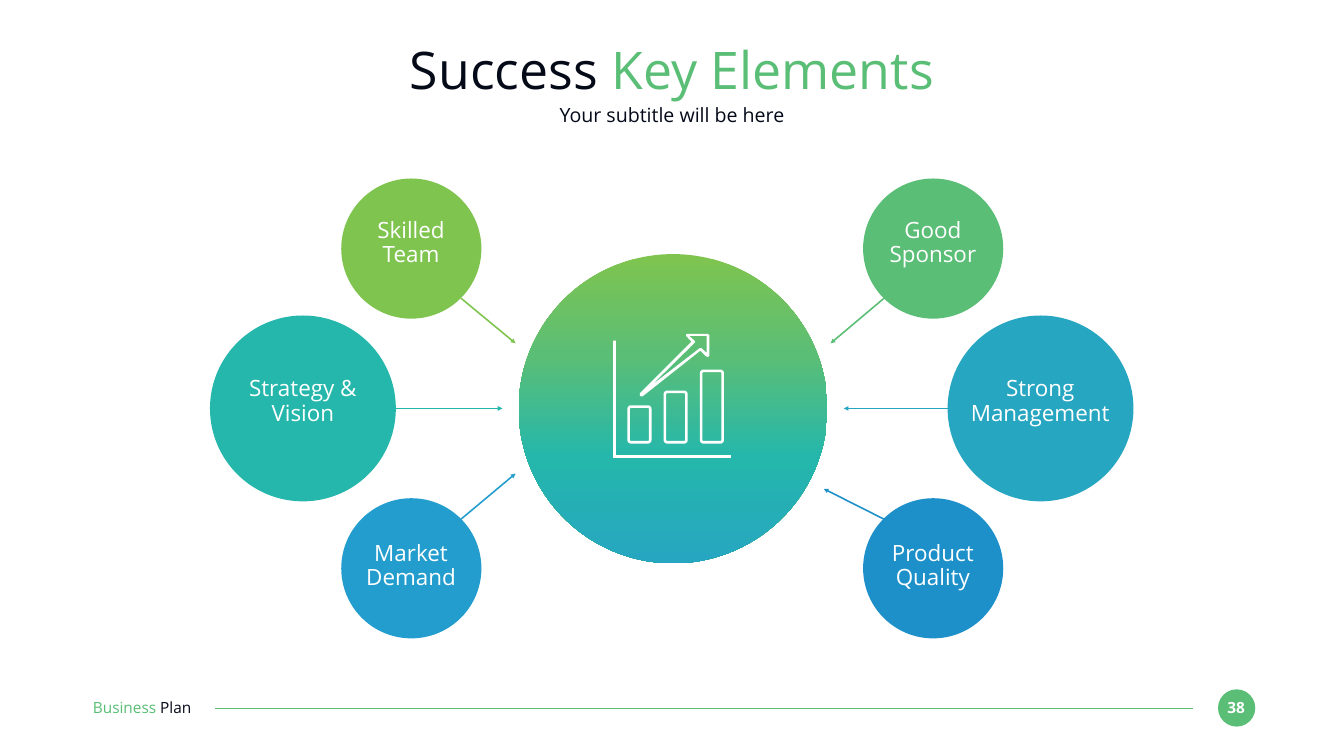
"""Builds the Success Key Elements slide: six factors pointing at a central growth chart."""
import copy
import math

import lxml.etree
import pptx
import pptx.dml.color
import pptx.enum.shapes
import pptx.enum.text
import pptx.oxml
import pptx.oxml.ns
import pptx.util

RGB = pptx.dml.color.RGBColor
SHAPE = pptx.enum.shapes.MSO_SHAPE
ALIGN = pptx.enum.text.PP_ALIGN
ANCHOR = pptx.enum.text.MSO_ANCHOR

PX = 9525
FONT = "Open Sans"
INK = RGB(0x05, 0x0A, 0x19)
WHITE = RGB(0xFF, 0xFF, 0xFF)
LIME = RGB(0x7F, 0xC4, 0x4F)
GREEN = RGB(0x5A, 0xBE, 0x76)
TEAL = RGB(0x25, 0xB7, 0xAC)
CYAN = RGB(0x26, 0xA6, 0xC1)
SKY = RGB(0x23, 0x9D, 0xCE)
BLUE = RGB(0x1D, 0x90, 0xC9)

TITLE = [("Success ", INK), ("Key Elements", GREEN)]
SUBTITLE = [("Your subtitle will be here", INK)]
FOOTER = [("Business ", GREEN), ("Plan", INK)]
PAGE_NUMBER = [("38", WHITE)]

SMALL, LARGE = 267, 354
LABEL_HEIGHT = 104
# Each factor: lines, colour, circle left, top, size, label width, label top, arrow
FACTORS = [
    (["Skilled Team"], LIME, (650, 340, SMALL), (214, 417), (878, 568, 982, 654)),
    (["Strategy & Vision"], TEAL, (400, 601, LARGE), (214, 719), (755, 778, 957, 778)),
    (["Market Demand"], SKY, (650, 949, SMALL), (214, 1032), (878, 989, 982, 902)),
    (["Good Sponsor"], GREEN, (1644, 340, SMALL), (214, 417), (1684, 568, 1582, 654)),
    (["Strong", "Management"], CYAN, (1805, 601, LARGE), (279, 719), (1805, 778, 1607, 778)),
    (["Product Quality"], BLUE, (1644, 949, SMALL), (214, 1032), (1684, 989, 1569, 931)),
]
HUB = (988, 484, 588, 589)
HUB_STOPS = [(0, LIME), (33, GREEN), (66, TEAL), (100, CYAN)]

STROKE = 5
BAR_LEFT, BAR_STEP, BAR_WIDTH, BAR_BOTTOM = 1195, 69, 46, 845
BAR_TOPS = [772, 744, 704]
AXES = [(1168, 649), (1173, 649), (1173, 867), (1392, 867), (1392, 872), (1168, 872)]
ARROW_OUTSIDE = [(1219, 754), (1219, 749), (1317, 651), (1307, 640), (1307, 637),
                 (1309, 636), (1348, 636), (1351, 638), (1351, 677), (1349, 680),
                 (1345, 679), (1334, 668), (1224, 755), (1221, 755)]
ARROW_INSIDE = [(1242, 733), (1333, 663), (1336, 663), (1346, 672), (1346, 640),
                (1313, 640), (1323, 649), (1324, 651), (1323, 653)]


def emu(*lengths):
    return [pptx.util.Emu(length * PX) for length in lengths]


def write(box, paragraphs, size, align=ALIGN.CENTER, anchor=ANCHOR.TOP, bold=False, spacing=1.0):
    frame = box.text_frame
    settings = {"word_wrap": True, "vertical_anchor": anchor,
                "auto_size": pptx.enum.text.MSO_AUTO_SIZE.NONE,
                "margin_left": 0, "margin_top": 0, "margin_right": 0, "margin_bottom": 0}
    for name, value in settings.items():
        setattr(frame, name, value)
    for index, spans in enumerate(paragraphs):
        para = frame.add_paragraph() if index else frame.paragraphs[0]
        for name, value in {"alignment": align, "line_spacing": spacing}.items():
            setattr(para, name, value)
        for text, color in spans:
            span = para.add_run()
            span.text = text
            for name, value in {"name": FONT, "size": pptx.util.Pt(size), "bold": bold}.items():
                setattr(span.font, name, value)
            span.font.color.rgb = color


def add_text(page, place, paragraphs, size, **format_values):
    write(page.shapes.add_textbox(*emu(*place)), paragraphs, size, **format_values)


def plain(shape, color):
    shape.shadow.inherit = False
    shape.line.fill.background()
    shape.fill.solid()
    shape.fill.fore_color.rgb = color


def add_circle(page, place, color):
    circle = page.shapes.add_shape(SHAPE.OVAL, *emu(*place))
    plain(circle, color)
    return circle


def add_line(page, ends, color, width, arrow=False):
    line = page.shapes.add_connector(pptx.enum.shapes.MSO_CONNECTOR.STRAIGHT, *emu(*ends))
    line.line.color.rgb = color
    line.line.width = pptx.util.Pt(width)
    properties = line._element.spPr
    if arrow:
        outline = properties.find(pptx.oxml.ns.qn("a:ln"))
        lxml.etree.SubElement(outline, pptx.oxml.ns.qn("a:tailEnd"), type="triangle")
    lxml.etree.SubElement(properties, pptx.oxml.ns.qn("a:effectLst"))


def set_gradient(shape, stops):
    shape.fill.gradient()
    shape.fill.gradient_angle = 270
    stop_list = next(shape._element.spPr.iter(pptx.oxml.ns.qn("a:gsLst")))
    for _ in range(len(stops) - len(stop_list)):
        stop_list.append(copy.deepcopy(stop_list[0]))
    for stop, (position, color) in zip(shape.fill.gradient_stops, stops):
        stop.position = position / 100
        stop.color.rgb = color


def rounded(left, top, right, bottom, radius):
    corners = [(right - radius, bottom - radius), (left + radius, bottom - radius),
               (left + radius, top + radius), (right - radius, top + radius)]
    return [(x + radius * math.cos(math.radians(angle)), y + radius * math.sin(math.radians(angle)))
            for quarter, (x, y) in enumerate(corners)
            for angle in range(quarter * 90, quarter * 90 + 91, 15)]


def add_chart_icon(page):
    contours = [AXES, ARROW_OUTSIDE, ARROW_INSIDE[::-1]]
    for index, top in enumerate(BAR_TOPS):
        left = BAR_LEFT + index * BAR_STEP
        right = left + BAR_WIDTH
        contours.append(rounded(left, top, right, BAR_BOTTOM, 7))
        contours.append(rounded(left + STROKE, top + STROKE, right - STROKE,
                                BAR_BOTTOM - STROKE, 2)[::-1])
    contours = [[(round(x * PX), round(y * PX)) for x, y in contour] for contour in contours]
    builder = page.shapes.build_freeform(*contours[0][0], scale=1.0)
    for index, contour in enumerate(contours):
        if index:
            builder.move_to(*contour[0])
        builder.add_line_segments(contour[1:], close=True)
    plain(builder.convert_to_shape(), WHITE)


def main():
    deck = pptx.Presentation()
    deck.slide_width, deck.slide_height = emu(2560, 1440)
    page = deck.slides.add_slide(deck.slide_layouts[5])

    title = page.shapes.title
    title.left, title.top, title.width, title.height = emu(176, 70, 2208, 122)
    write(title, [TITLE], 74, anchor=ANCHOR.MIDDLE)
    add_text(page, (176, 195, 2208, 47), [SUBTITLE], 28, anchor=ANCHOR.MIDDLE)

    add_circle(page, (2320, 1313, 71, 71), GREEN)
    add_text(page, (2326, 1330, 57, 36), [PAGE_NUMBER], 22, anchor=ANCHOR.MIDDLE, bold=True)
    add_line(page, (2272, 1349, 410, 1349), GREEN, 1.5)
    add_text(page, (177, 1329, 249, 36), [FOOTER], 22, align=ALIGN.LEFT, anchor=ANCHOR.MIDDLE)

    for lines, color, (left, top, size), (width, label_top), arrow in FACTORS:
        add_circle(page, (left, top, size, size), color)
        add_line(page, arrow, color, 2.25, arrow=True)
        place = (left + (size - width) // 2, label_top, width, LABEL_HEIGHT)
        add_text(page, place, [[(line, WHITE)] for line in lines], 32, spacing=0.9)

    set_gradient(add_circle(page, HUB, LIME), HUB_STOPS)
    add_chart_icon(page)
    deck.save("out.pptx")


if __name__ == "__main__":
    main()
